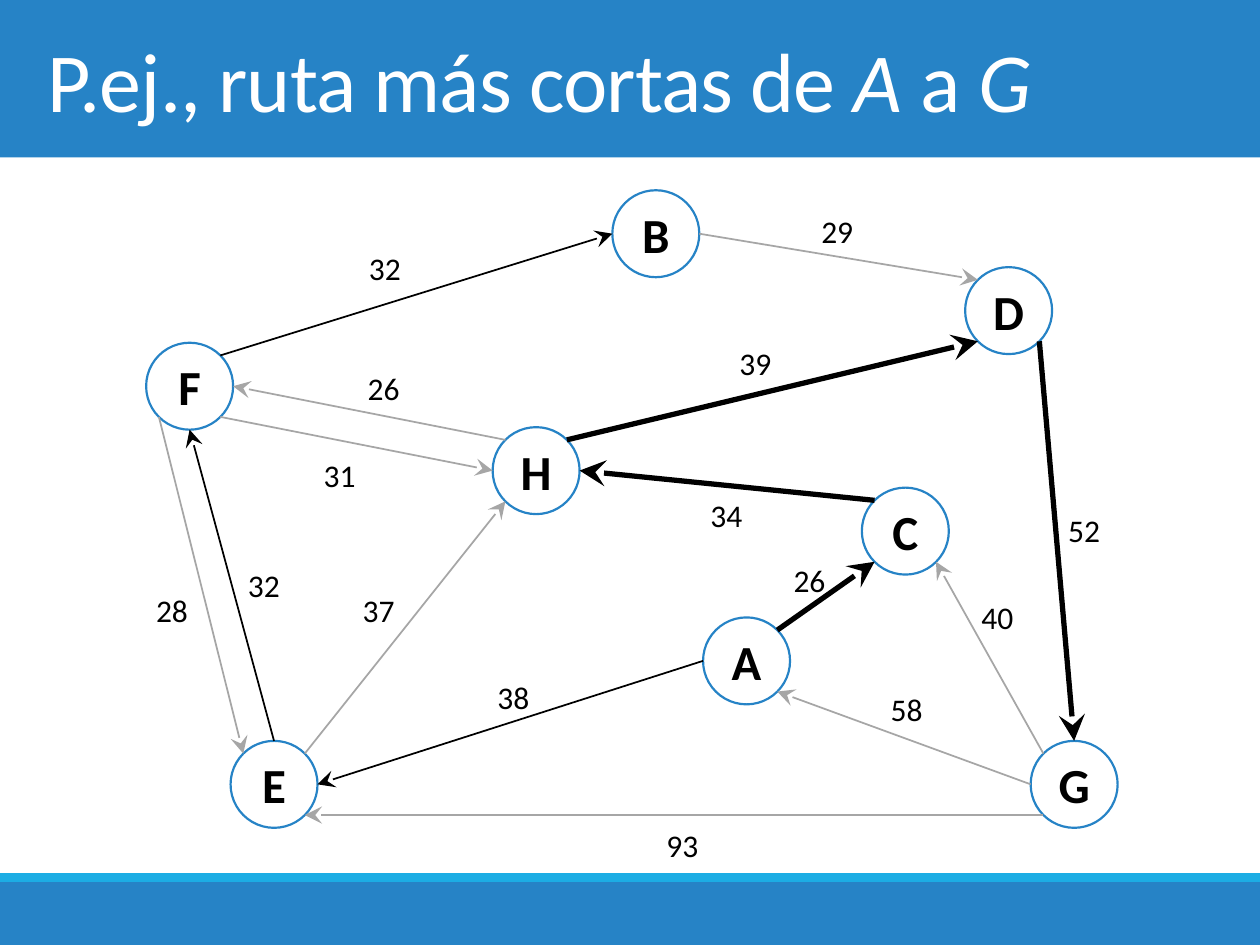
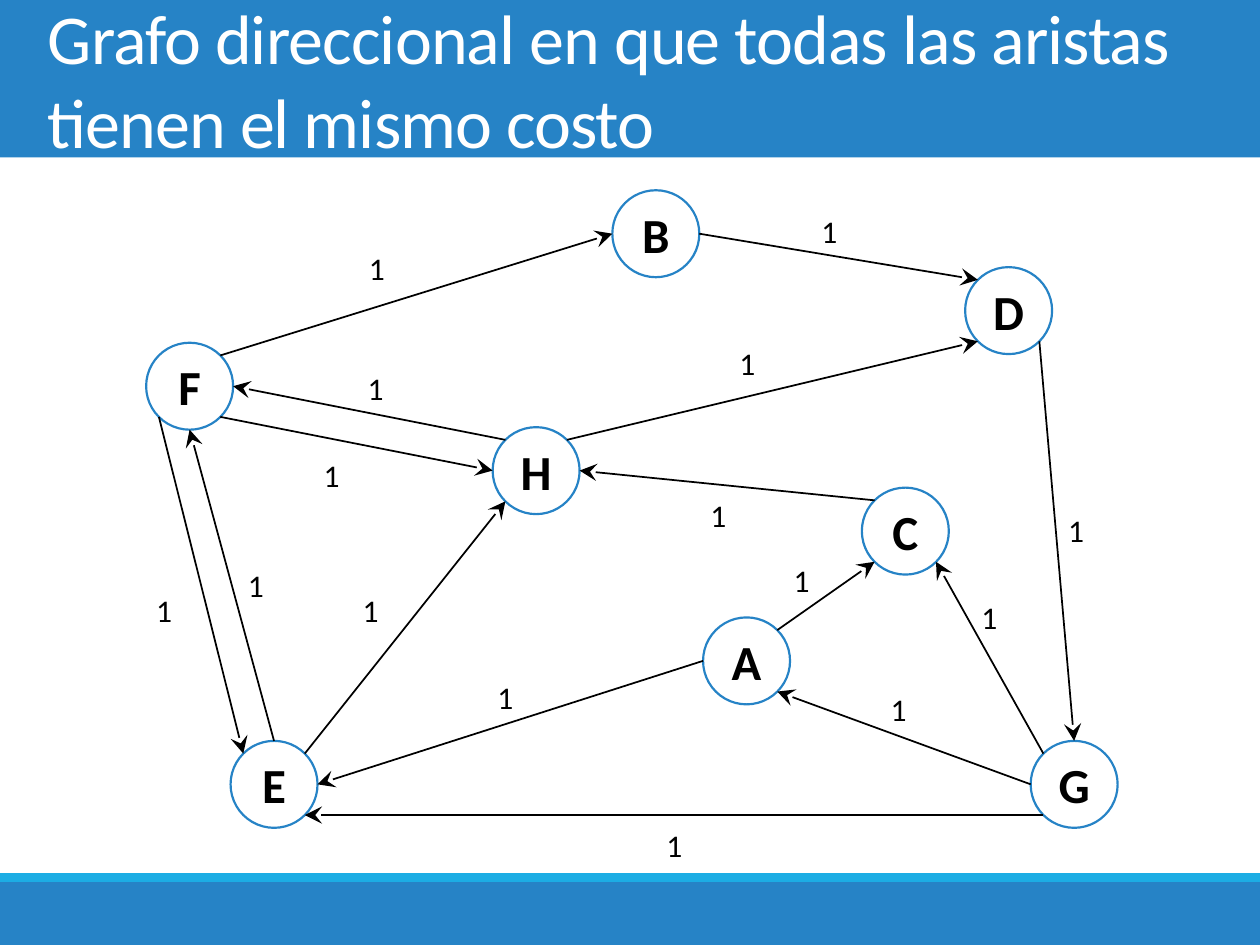
import dataclasses
import enum
import math

import pptx
import pptx.dml.color
import pptx.enum.shapes
import pptx.enum.text
import pptx.oxml.xmlchemy
import pptx.util

Inches = pptx.util.Inches
Pt = pptx.util.Pt
RGB = pptx.dml.color.RGBColor.from_string
Anchor = pptx.enum.text.MSO_ANCHOR
AutoSize = pptx.enum.text.MSO_AUTO_SIZE
Align = pptx.enum.text.PP_ALIGN
AutoShape = pptx.enum.shapes.MSO_SHAPE
make_element = pptx.oxml.xmlchemy.OxmlElement


@dataclasses.dataclass(frozen=True)
class Theme:
    font: str = "Calibri"
    blue: str = "2683C6"
    cyan: str = "1CADE4"
    white: str = "FFFFFF"
    black: str = "000000"
    grey: str = "A6A6A6"
    title_size: int = 48
    long_title_size: int = 40
    node_size: int = 28
    cost_size: int = 18
    thin: float = 1
    thick: float = 3
    outline: float = 1.25


@dataclasses.dataclass(frozen=True)
class Box:
    left: float
    top: float
    width: float
    height: float

    def lengths(self):
        return [Inches(side) for side in dataclasses.astuple(self)]


class Site(enum.IntEnum):
    TOP = 0
    TOP_LEFT = 1
    LEFT = 2
    BOTTOM_LEFT = 3
    BOTTOM = 4
    BOTTOM_RIGHT = 5
    RIGHT = 6
    TOP_RIGHT = 7


@dataclasses.dataclass(frozen=True)
class Edge:
    start: str
    start_site: Site
    end: str
    end_site: Site
    cost: int
    cost_left: float
    cost_top: float


THEME = Theme()
SLIDE = Box(0, 0, 10, 7.5)
HEADER = Box(0, 0, SLIDE.width, 1.25)
FOOTER = Box(0, 7, SLIDE.width, 0.5)
STRIPE = Box(0, 6.93, SLIDE.width, 0.07)
TITLE = Box(0.28, 0, 9.45, HEADER.height)
GRAPH = Box(0, HEADER.height, SLIDE.width, STRIPE.top - HEADER.height)

NODE_DIAMETER = 0.69
NODES = {
    "A": (5.58, 3.65),
    "B": (4.86, 0.26),
    "C": (6.84, 2.62),
    "D": (7.66, 0.87),
    "E": (1.83, 4.63),
    "F": (1.16, 1.47),
    "G": (8.18, 4.63),
    "H": (3.91, 2.14),
}
EDGES = [
    Edge("F", Site.TOP_RIGHT, "B", Site.LEFT, 32, 2.83, 0.68),
    Edge("B", Site.RIGHT, "D", Site.TOP_LEFT, 29, 6.42, 0.38),
    Edge("H", Site.TOP_RIGHT, "D", Site.BOTTOM_LEFT, 39, 5.77, 1.43),
    Edge("D", Site.BOTTOM_RIGHT, "G", Site.TOP, 52, 8.38, 2.76),
    Edge("G", Site.BOTTOM_LEFT, "E", Site.BOTTOM_RIGHT, 93, 5.19, 5.26),
    Edge("G", Site.TOP_LEFT, "C", Site.BOTTOM_RIGHT, 40, 7.69, 3.45),
    Edge("G", Site.LEFT, "A", Site.BOTTOM_RIGHT, 58, 6.97, 4.18),
    Edge("A", Site.TOP_RIGHT, "C", Site.BOTTOM_LEFT, 26, 6.2, 3.15),
    Edge("A", Site.LEFT, "E", Site.RIGHT, 38, 3.85, 4.08),
    Edge("C", Site.TOP_LEFT, "H", Site.RIGHT, 34, 5.54, 2.64),
    Edge("E", Site.TOP_RIGHT, "H", Site.BOTTOM_LEFT, 37, 2.78, 3.39),
    Edge("H", Site.TOP_LEFT, "F", Site.RIGHT, 26, 2.82, 1.63),
    Edge("F", Site.BOTTOM_RIGHT, "H", Site.LEFT, 31, 2.47, 2.32),
    Edge("E", Site.TOP, "F", Site.BOTTOM, 32, 1.87, 3.19),
    Edge("F", Site.BOTTOM_LEFT, "E", Site.TOP_LEFT, 28, 1.14, 3.39),
]
SHORTEST_ROUTE = {"AC", "CH", "HD", "DG"}
OTHER_SHORTEST = {"AE", "EF", "FB"}


def style_font(font, size, color, bold=False):
    font.name = THEME.font
    font.size = Pt(size)
    font.bold = bold
    font.color.rgb = RGB(color)


def add_filled(slide, kind, box, color):
    shape = slide.shapes.add_shape(kind, *box.lengths())
    shape.shadow.inherit = False
    shape.fill.solid()
    shape.fill.fore_color.rgb = RGB(color)
    return shape


def add_bands_to_master(slide, master):
    bands = [(HEADER, THEME.blue), (FOOTER, THEME.blue), (STRIPE, THEME.cyan)]
    for index, (box, color) in enumerate(bands):
        band = add_filled(slide, AutoShape.RECTANGLE, box, color)
        band.line.fill.background()
        band.element.nvSpPr.cNvPr.set("id", str(100 + index))
        master.shapes.element.insert(2 + index, band.element)


def add_title(slide, box, pieces, size):
    title = slide.shapes.title
    title.left, title.top, title.width, title.height = box.lengths()
    frame = title.text_frame
    frame.auto_size = AutoSize.NONE
    frame.vertical_anchor = Anchor.MIDDLE
    paragraph = frame.paragraphs[0]
    paragraph.alignment = Align.LEFT
    style_font(paragraph.font, size, THEME.white)
    for text, italic in pieces:
        run = paragraph.add_run()
        run.text = text
        run.font.italic = italic
        run.font._element.set("spc", "-50")


def add_node(slide, box, letter):
    left, top = NODES[letter]
    place = Box(box.left + left, box.top + top, NODE_DIAMETER, NODE_DIAMETER)
    node = add_filled(slide, AutoShape.OVAL, place, THEME.white)
    node.line.color.rgb = RGB(THEME.blue)
    node.line.width = Pt(THEME.outline)
    frame = node.text_frame
    frame.vertical_anchor = Anchor.MIDDLE
    frame.text = letter
    paragraph = frame.paragraphs[0]
    paragraph.alignment = Align.CENTER
    style_font(paragraph.font, THEME.node_size, THEME.black, bold=True)
    return node


def site_point(node, site):
    radius = node.width / 2
    angle = math.radians(90 + 45 * site)
    return (
        round(node.left + radius * (1 + math.cos(angle))),
        round(node.top + radius * (1 - math.sin(angle))),
    )


def add_arrow(slide, nodes, edge, color, width):
    start, end = nodes[edge.start], nodes[edge.end]
    arrow = slide.shapes.add_connector(
        pptx.enum.shapes.MSO_CONNECTOR.STRAIGHT,
        *site_point(start, edge.start_site),
        *site_point(end, edge.end_site),
    )
    arrow.line.color.rgb = RGB(color)
    arrow.line.width = Pt(width)
    head = make_element("a:tailEnd")
    for key, value in (("type", "stealth"), ("w", "lg"), ("len", "lg")):
        head.set(key, value)
    arrow.line._get_or_add_ln().append(head)
    arrow.element.spPr.append(make_element("a:effectLst"))
    joints = arrow.element.nvCxnSpPr.cNvCxnSpPr
    for tag, node, site in (
        ("a:stCxn", start, edge.start_site),
        ("a:endCxn", end, edge.end_site),
    ):
        joint = make_element(tag)
        joint.set("id", str(node.shape_id))
        joint.set("idx", str(int(site)))
        joints.append(joint)


def add_cost(slide, box, edge, cost):
    text = str(cost)
    place = Box(
        box.left + edge.cost_left,
        box.top + edge.cost_top,
        0.2 + 0.13 * len(text),
        0.4,
    )
    label = slide.shapes.add_textbox(*place.lengths())
    frame = label.text_frame
    frame.word_wrap = False
    frame.auto_size = AutoSize.SHAPE_TO_FIT_TEXT
    frame.text = text
    style_font(frame.paragraphs[0].font, THEME.cost_size, THEME.black)


def route_style(edge):
    pair = edge.start + edge.end
    if pair in SHORTEST_ROUTE:
        return THEME.black, THEME.thick
    if pair in OTHER_SHORTEST:
        return THEME.black, THEME.thin
    return THEME.grey, THEME.thin


def uniform_style(edge):
    return THEME.black, THEME.thin


def add_graph(slide, box, edge_style, edge_cost):
    nodes = {letter: add_node(slide, box, letter) for letter in NODES}
    for edge in EDGES:
        add_arrow(slide, nodes, edge, *edge_style(edge))
    for edge in EDGES:
        add_cost(slide, box, edge, edge_cost(edge))


def add_graph_slide(deck, title_pieces, title_size, edge_style, edge_cost):
    slide = deck.slides.add_slide(deck.slide_layouts.get_by_name("Title Only"))
    add_title(slide, TITLE, title_pieces, title_size)
    add_graph(slide, GRAPH, edge_style, edge_cost)
    return slide


def main():
    deck = pptx.Presentation()
    deck.slide_width = Inches(SLIDE.width)
    deck.slide_height = Inches(SLIDE.height)
    route_slide = add_graph_slide(
        deck,
        [
            ("P.ej., ruta más cortas de ", False),
            ("A", True),
            (" a ", False),
            ("G", True),
        ],
        THEME.title_size,
        route_style,
        lambda edge: edge.cost,
    )
    add_bands_to_master(route_slide, deck.slide_master)
    add_graph_slide(
        deck,
        [("Grafo direccional en que todas las aristas tienen el mismo costo", False)],
        THEME.long_title_size,
        uniform_style,
        lambda edge: 1,
    )
    deck.save("out.pptx")


if __name__ == "__main__":
    main()
